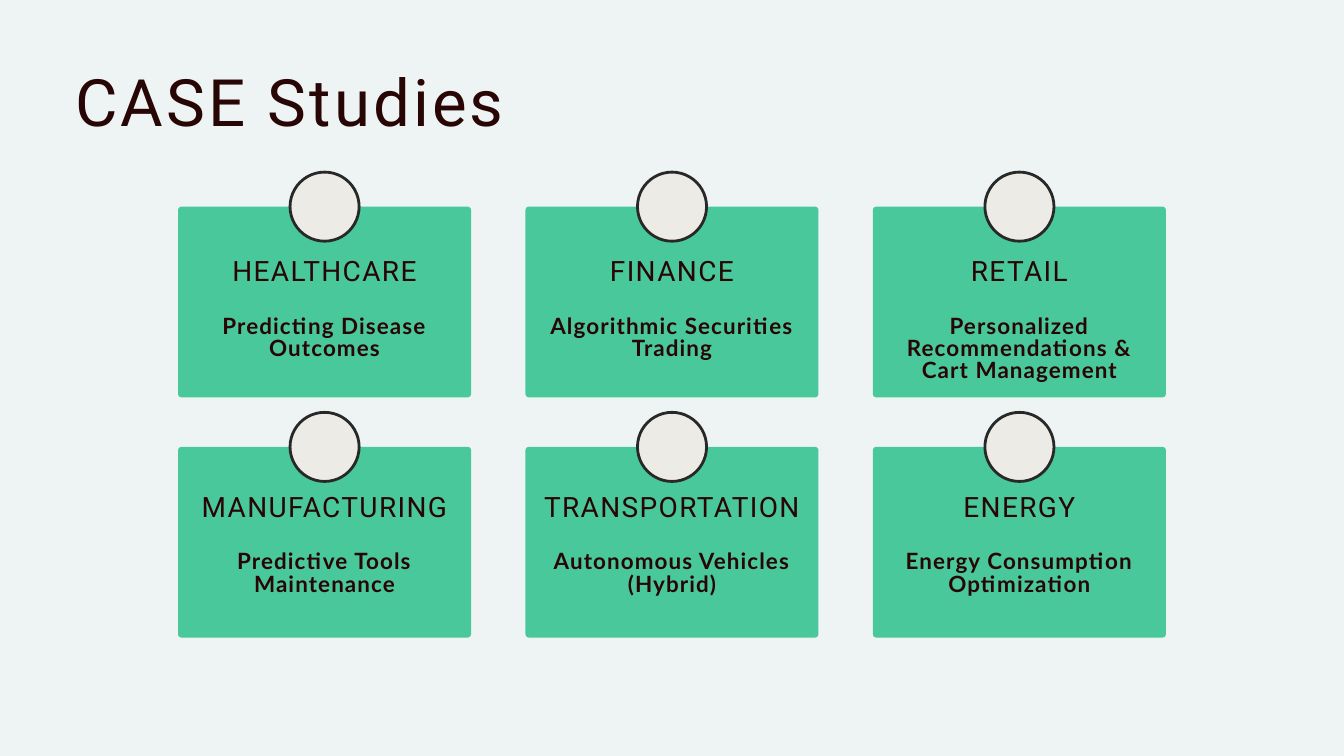
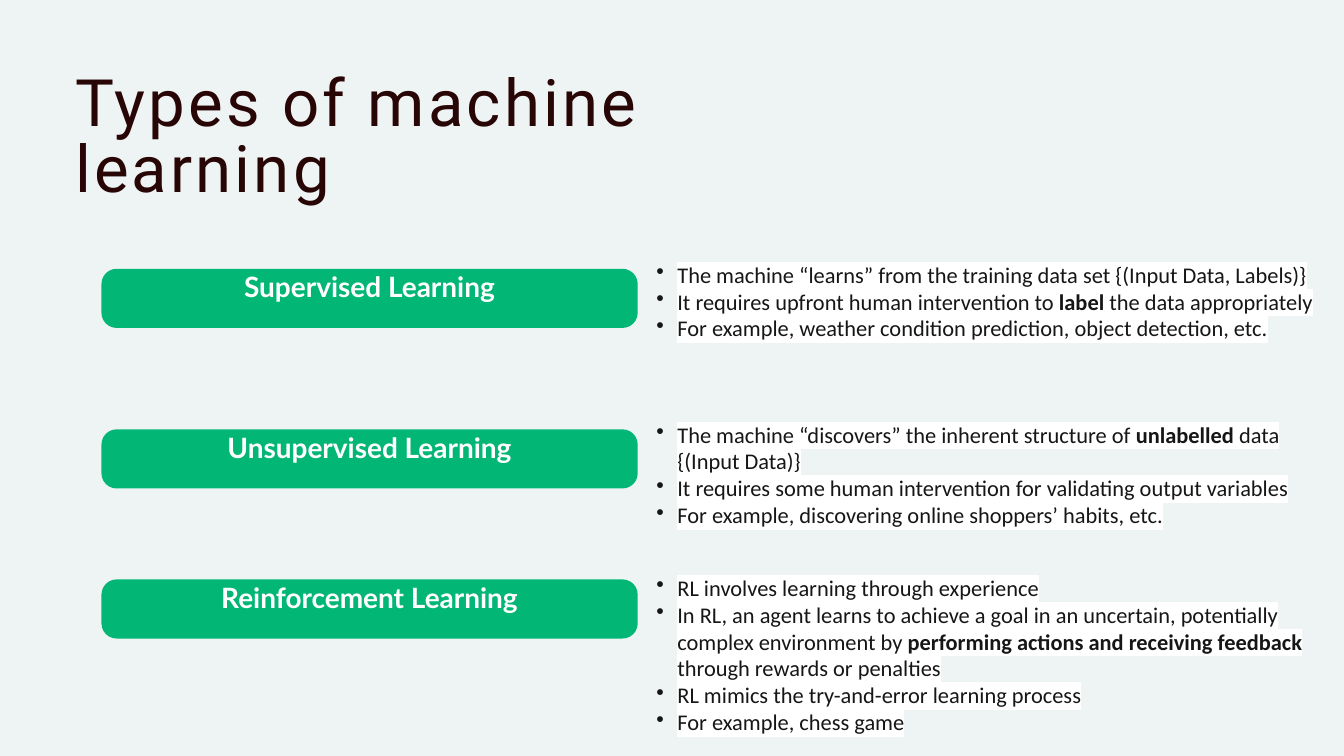
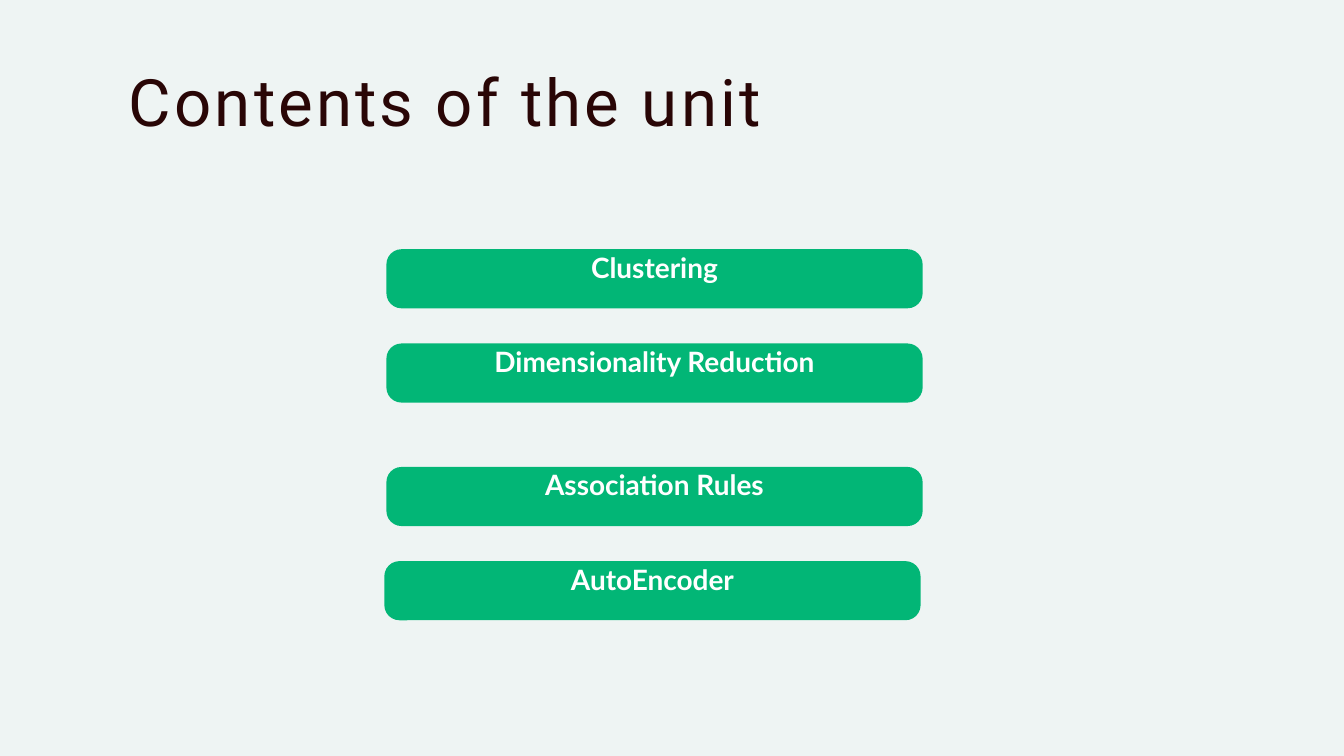
from lxml import etree
from pptx import Presentation
from pptx.dml.color import RGBColor
from pptx.enum.shapes import MSO_SHAPE
from pptx.enum.text import MSO_ANCHOR, MSO_AUTO_SIZE, PP_ALIGN
from pptx.oxml.ns import qn
from pptx.util import Pt

ROUNDED = MSO_SHAPE.ROUNDED_RECTANGLE
OVAL = MSO_SHAPE.OVAL
MIDDLE = MSO_ANCHOR.MIDDLE
GROW = MSO_AUTO_SIZE.SHAPE_TO_FIT_TEXT
LEFT = PP_ALIGN.LEFT
CENTER = PP_ALIGN.CENTER

MIST = RGBColor(0xEE, 0xF4, 0xF3)
GREEN = RGBColor(0x02, 0xB6, 0x76)
CREAM = RGBColor(0xED, 0xEB, 0xE6)
CHARCOAL = RGBColor(0x29, 0x28, 0x28)
MAROON = RGBColor(0x29, 0x06, 0x06)
INK = RGBColor(0x16, 0x16, 0x16)
WHITE = RGBColor(0xFF, 0xFF, 0xFF)

CARD_WIDTH, CARD_HEIGHT, CARD_INSET = 313.92, 204.3, 18
CARD_LEFT, CARD_PITCH = 190.8, 372.24
CIRCLE_SIZE = 74
PILL_WIDTH, PILL_HEIGHT, LABEL_RISE = 574.56, 63.36, 31.1
LIST_LEFT, LIST_WIDTH, LIST_INDENT = 696.2, 720, 22.5

CASE_ROWS = [
    (221.4, 277.2, [
        ("HEALTHCARE", "Predicting Disease Outcomes"),
        ("FINANCE", "Algorithmic Securities Trading"),
        ("RETAIL", "Personalized Recommendations & Cart Management"),
    ]),
    (478.8, 530, [
        ("MANUFACTURING", "Predictive Tools Maintenance"),
        ("TRANSPORTATION", "Autonomous Vehicles (Hybrid)"),
        ("ENERGY", "Energy Consumption Optimization"),
    ]),
]

LEARNING_TYPES = [
    ("Supervised Learning", 288, 275.8, 94.3, [
        ["The machine “learns” from the training data set {(Input Data, Labels)}"],
        ["It requires upfront human intervention to ", "label", " the data appropriately"],
        ["For example, weather condition prediction, object detection, etc."],
    ]),
    ("Unsupervised Learning", 460, 447.1, 123.8, [
        ["The machine “discovers” the inherent structure of ", "unlabelled",
         " data {(Input Data)}"],
        ["It requires some human intervention for validating output variables"],
        ["For example, discovering online shoppers’ habits, etc."],
    ]),
    ("Reinforcement Learning", 620.8, 611.3, 181.4, [
        ["RL involves learning through experience"],
        ["In RL, an agent learns to achieve a goal in an uncertain, potentially complex "
         "environment by ", "performing actions and receiving feedback",
         " through rewards or penalties"],
        ["RL mimics the try-and-error learning process"],
        ["For example, chess game"],
    ]),
]

UNIT_TOPICS = [
    ("Clustering", 414, 267),
    ("Dimensionality Reduction", 414, 368),
    ("Association Rules", 414, 500.3),
    ("AutoEncoder", 411.8, 601.2),
]


class Deck:
    """Holds the shared style and the slide being filled."""

    def __init__(self):
        self.presentation = Presentation()
        self.presentation.slide_width = Pt(1440)
        self.presentation.slide_height = Pt(810)
        background = self.presentation.slide_master.background.fill
        background.solid()
        background.fore_color.rgb = MIST
        self.slide = None

    def add_slide(self, title, left, width):
        layout = self.presentation.slide_layouts[6]
        self.slide = self.presentation.slides.add_slide(layout)
        self.text(title, left, 80, width, 70.5, "Roboto", 70, MAROON,
                  spacing=3.4, align=LEFT)

    def shape(self, kind, left, top, width, height, color, radius=None, opacity=None):
        shape = self.slide.shapes.add_shape(kind, Pt(left), Pt(top), Pt(width), Pt(height))
        shape.shadow.inherit = False
        shape.fill.solid()
        shape.fill.fore_color.rgb = color
        shape.line.fill.background()
        if radius is not None:
            shape.adjustments[0] = radius / height
        if opacity is not None:
            fill_color = shape.fill._xPr.find(qn("a:solidFill"))[0]
            etree.SubElement(fill_color, qn("a:alpha")).set("val", str(opacity * 1000))
        return shape

    def text_box(self, left, top, width, height, margin=None):
        box = self.slide.shapes.add_textbox(Pt(left), Pt(top), Pt(width), Pt(height))
        frame = box.text_frame
        frame.word_wrap = True
        if margin is not None:
            frame.margin_left = frame.margin_right = Pt(margin)
            frame.margin_top = frame.margin_bottom = Pt(margin)
        return frame

    def style_run(self, run, font, size, color, bold=False, spacing=None):
        run.font.name = font
        run.font.size = Pt(size)
        run.font.bold = bold
        run.font.color.rgb = color
        if spacing is not None:
            run.font._element.set("spc", str(round(spacing * 100)))

    def text(self, text, left, top, width, height, font, size, color, bold=False,
             spacing=None, align=CENTER, line=None, margin=0):
        frame = self.text_box(left, top, width, height, margin)
        frame.text = text
        paragraph = frame.paragraphs[0]
        paragraph.alignment = align
        paragraph.line_spacing = Pt(line or size)
        self.style_run(paragraph.runs[0], font, size, color, bold, spacing)
        return frame

    def card(self, left, top, heading_top, heading, description):
        self.shape(ROUNDED, left, top, CARD_WIDTH, CARD_HEIGHT, GREEN, 3.6, 70)
        circle = self.shape(OVAL, left + (CARD_WIDTH - CIRCLE_SIZE) / 2,
                            top - CIRCLE_SIZE / 2, CIRCLE_SIZE, CIRCLE_SIZE, CREAM)
        circle.line.color.rgb = CHARCOAL
        circle.line.width = Pt(3)
        text_left, text_width = left + CARD_INSET, CARD_WIDTH - 2 * CARD_INSET
        self.text(heading, text_left, heading_top, text_width, 37.4,
                  "Roboto", 30, MAROON, spacing=1.5)
        self.text(description, text_left, heading_top + 61.5, text_width, 52,
                  "Lato", 24, MAROON, bold=True, spacing=1.2)

    def pill(self, label, left, top):
        self.shape(ROUNDED, left, top, PILL_WIDTH, PILL_HEIGHT, GREEN, 16.2)
        frame = self.text(label, left, top - LABEL_RISE, PILL_WIDTH,
                          PILL_HEIGHT + LABEL_RISE, "Lato", 30, WHITE,
                          bold=True, line=42, margin=4)
        frame.vertical_anchor = MIDDLE

    def bullet_list(self, items, top, height):
        frame = self.text_box(LIST_LEFT, top, LIST_WIDTH, height)
        frame.auto_size = GROW
        for index, parts in enumerate(items):
            paragraph = frame.add_paragraph() if index else frame.paragraphs[0]
            properties = paragraph._p.get_or_add_pPr()
            properties.set("marL", str(Pt(LIST_INDENT)))
            properties.set("indent", str(-Pt(LIST_INDENT)))
            etree.SubElement(properties, qn("a:buChar")).set("char", "•")
            for position, part in enumerate(parts):
                run = paragraph.add_run()
                run.text = part
                self.style_run(run, "Calibri", 24, INK, bold=position % 2 == 1)
                self.highlight(run)

    def highlight(self, run):
        highlight = etree.Element(qn("a:highlight"))
        etree.SubElement(highlight, qn("a:srgbClr")).set("val", str(WHITE))
        run.font._element.find(qn("a:solidFill")).addnext(highlight)


def main():
    deck = Deck()

    deck.add_slide("CASE Studies", 80.6, 963.4)
    for top, heading_top, cases in CASE_ROWS:
        for column, (heading, description) in enumerate(cases):
            deck.card(CARD_LEFT + column * CARD_PITCH, top, heading_top,
                      heading, description)

    deck.add_slide("Types of machine learning", 80.6, 819.4)
    for label, pill_top, list_top, list_height, items in LEARNING_TYPES:
        deck.pill(label, 108.7, pill_top)
        deck.bullet_list(items, list_top, list_height)

    deck.add_slide("Contents of the unit", 138.2, 1163.5)
    for label, left, top in UNIT_TOPICS:
        deck.pill(label, left, top)

    deck.presentation.save("out.pptx")


if __name__ == "__main__":
    main()
